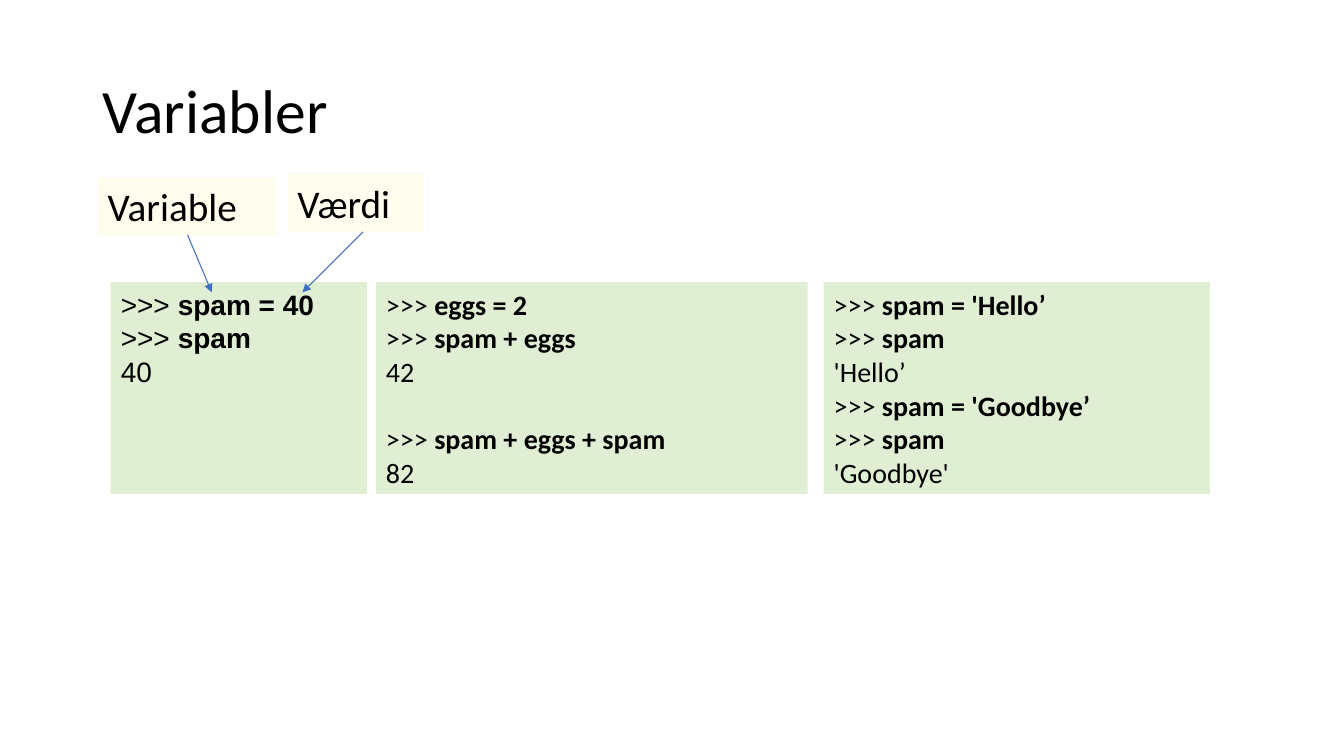
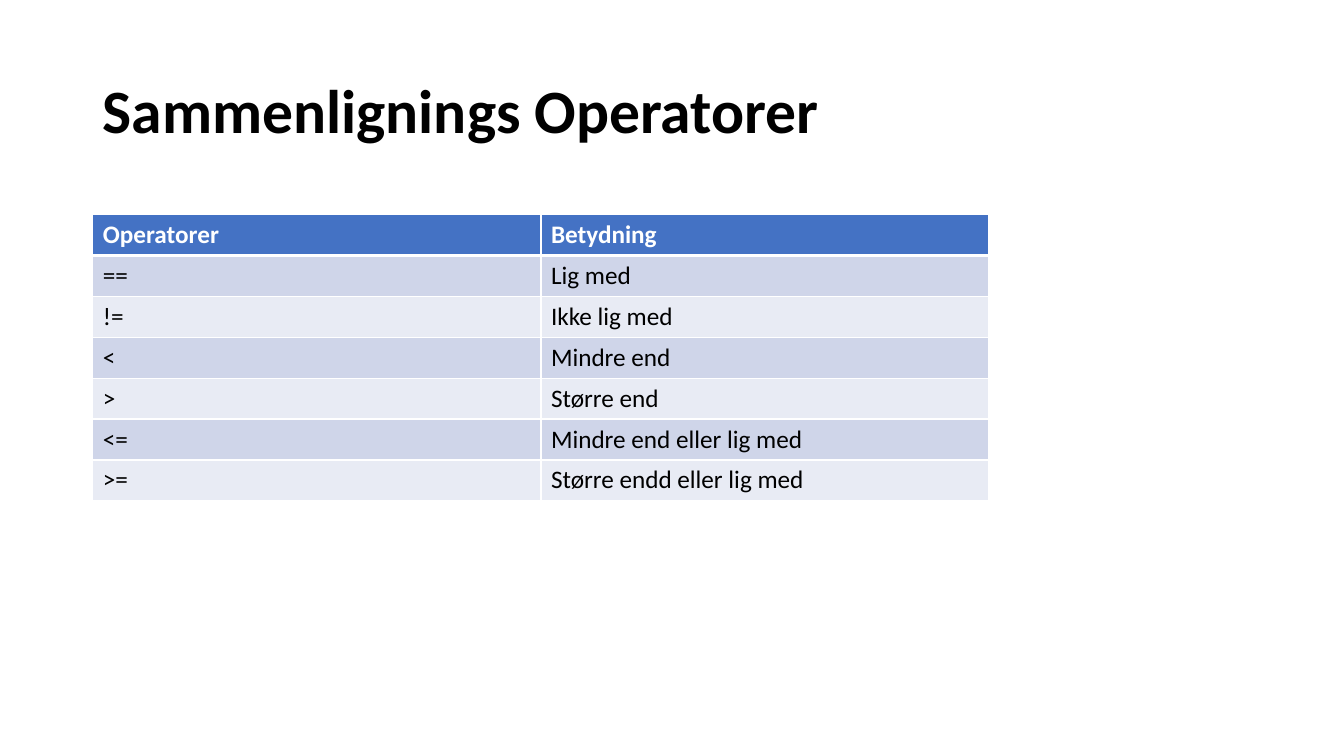
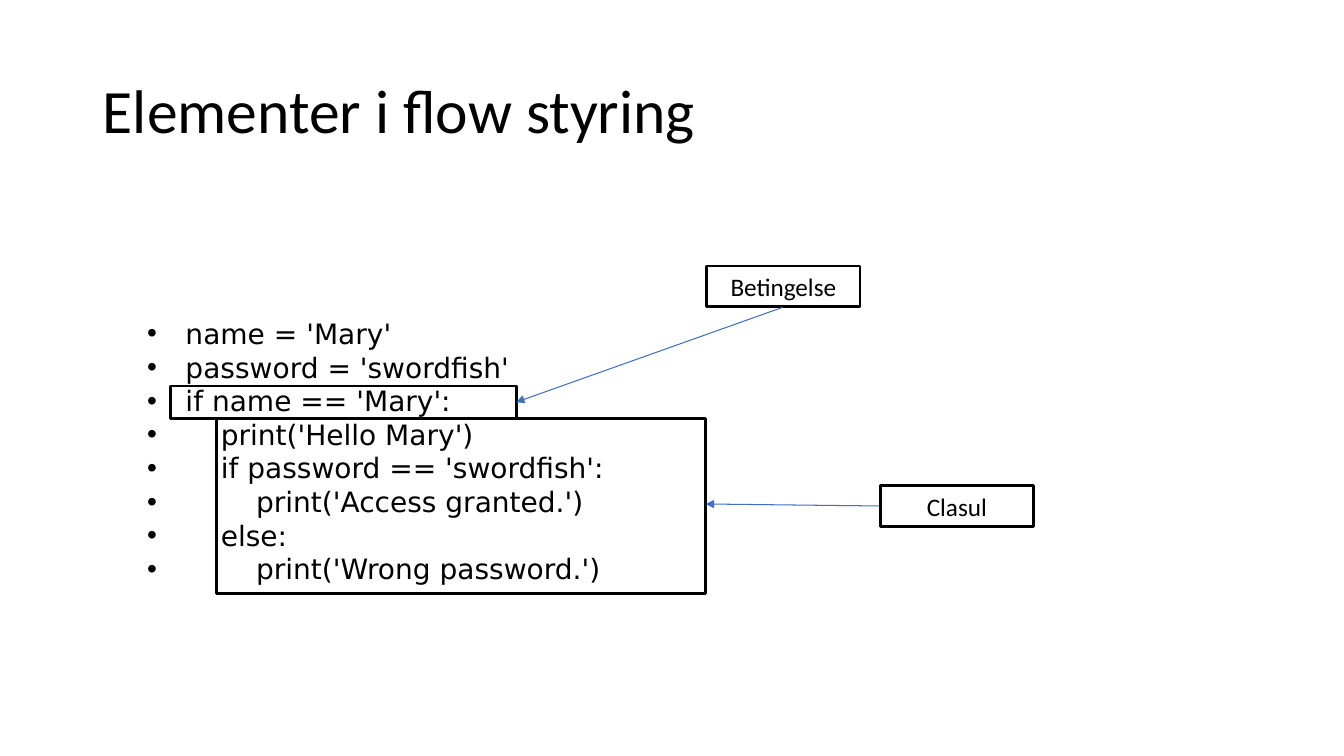
from dataclasses import dataclass

from lxml.etree import SubElement
from pptx import Presentation
from pptx.dml.color import RGBColor
from pptx.enum.shapes import MSO_CONNECTOR as Connector
from pptx.enum.shapes import MSO_SHAPE as Shape
from pptx.enum.text import MSO_ANCHOR as Anchor
from pptx.enum.text import MSO_AUTO_SIZE as AutoSize
from pptx.enum.text import PP_ALIGN as Align
from pptx.oxml import parse_xml
from pptx.oxml.ns import nsdecls, qn
from pptx.util import Emu, Pt

EMU_PER_PX = 9144
PROMPT = ">>> "
TITLE_ONLY, TITLE_AND_BODY = 5, 1


@dataclass(frozen=True)
class Theme:
    """Colours, fonts and type sizes of the deck."""

    ink: str = "000000"
    paper: str = "FFFFFF"
    arrow: str = "3F6FC3"
    code: str = "E0EFD4"
    label: str = "FFFEEE"
    header: str = "4472C4"
    bands: tuple = ("CFD5E9", "E8EBF4")
    font: str = "Calibri"
    sans: str = "Arial"
    script: str = "DejaVu Sans"
    title_size: int = 44
    label_size: int = 28
    code_size: int = 20
    small_size: int = 18
    arrow_width: float = 0.75
    frame_width: float = 2
    grid_width: float = 0.96
    header_rule: float = 3


def px(length):
    """Turn px into EMU."""
    return Emu(length * EMU_PER_PX)


def place(shape, area):
    """Move a shape to left, top, width, height in px."""
    shape.left, shape.top, shape.width, shape.height = map(px, area)


class Painter:
    """Draws elements on the current slide in one style."""

    def __init__(self, deck, theme):
        """Keep the deck and its theme."""
        self.deck, self.theme, self.slide = deck, theme, None

    def style(self, paragraph, size, font=None, color=None, bold=False):
        """Format every run of a paragraph."""
        for span in paragraph.runs:
            span.font.name = font or self.theme.font
            span.font.size = Pt(size)
            span.font.bold = bold
            span.font.color.rgb = RGBColor.from_string(color or self.theme.ink)

    def page(self, title, layout=TITLE_ONLY, bold=False):
        """Start a slide with a title."""
        self.slide = self.deck.slides.add_slide(self.deck.slide_layouts[layout])
        box = self.slide.shapes.title
        place(box, (92, 40, 1150, 145))
        frame = box.text_frame
        frame.text = title
        frame.auto_size = AutoSize.NONE
        frame.vertical_anchor = Anchor.MIDDLE
        para = frame.paragraphs[0]
        para.alignment, para.line_spacing = Align.LEFT, 0.9
        self.style(para, self.theme.title_size, bold=bold)

    def box(self, area, fill=None, framed=False):
        """Add a rectangle and return its text frame."""
        shape = self.slide.shapes.add_shape(Shape.RECTANGLE, *map(px, area))
        shape.shadow.inherit = False
        if fill:
            shape.fill.solid()
            shape.fill.fore_color.rgb = RGBColor.from_string(fill)
        else:
            shape.fill.background()
        if framed:
            shape.line.color.rgb = RGBColor.from_string(self.theme.ink)
            shape.line.width = Pt(self.theme.frame_width)
        else:
            shape.line.fill.background()
        shape.text_frame.word_wrap = True
        return shape.text_frame

    def label(self, area, text, size, align=Align.LEFT, **look):
        """Add a box with one line of text."""
        frame = self.box(area, **look)
        frame.text = text
        frame.vertical_anchor = Anchor.MIDDLE
        para = frame.paragraphs[0]
        para.alignment = align
        self.style(para, size)

    def console(self, left, width, blocks, font=None, anchor=Anchor.MIDDLE):
        """Add a code panel whose blocks are set apart by a line."""
        size = self.theme.code_size
        frame = self.box((left, 280, width, 210), fill=self.theme.code)
        frame.vertical_anchor = anchor
        lines = [(line, block and not row) for block, rows in enumerate(blocks)
                 for row, line in enumerate(rows)]
        for index, (line, gap) in enumerate(lines):
            para = frame.add_paragraph() if index else frame.paragraphs[0]
            typed = line.startswith(PROMPT)
            para.text = PROMPT if typed else line
            if typed:
                para.add_run().text = line.removeprefix(PROMPT)
            para.alignment = Align.LEFT
            para.space_before = Pt(size * 1.2 if gap else 0)
            self.style(para, size, font)
            if typed:
                para.runs[1].font.bold = True

    def arrow(self, start, end):
        """Add a thin arrow from start to end."""
        line = self.slide.shapes.add_connector(
            Connector.STRAIGHT, *map(px, start + end))
        line.line.color.rgb = RGBColor.from_string(self.theme.arrow)
        line.line.width = Pt(self.theme.arrow_width)
        SubElement(line.line._get_or_add_ln(), qn("a:tailEnd"), type="triangle")
        SubElement(line._element.spPr, qn("a:effectLst"))

    def script(self, area, lines):
        """Fill the body with bulleted code, indented by level."""
        body = self.slide.placeholders[1]
        place(body, area)
        frame = body.text_frame
        frame.text = "\n".join(text for level, text in lines)
        frame.auto_size = AutoSize.NONE
        frame.vertical_anchor = Anchor.TOP
        for para, (level, text) in zip(frame.paragraphs, lines):
            para.space_before, para.line_spacing = Pt(0), 1.0
            indent = px(38 + 35 * level)
            props = para._p.get_or_add_pPr()
            props.set("marL", str(indent))
            props.set("indent", str(-indent))
            self.style(para, self.theme.code_size, self.theme.script)

    def borders(self, cell, top, bottom):
        """Draw the four borders of a cell."""
        widths = {"L": self.theme.grid_width, "R": self.theme.grid_width,
                  "T": top, "B": bottom}
        props = cell._tc.get_or_add_tcPr()
        for index, (side, width) in enumerate(widths.items()):
            props.insert(index, parse_xml(
                f'<a:ln{side} {nsdecls("a")} w="{Pt(width)}"><a:solidFill>'
                f'<a:srgbClr val="{self.theme.paper}"/></a:solidFill></a:ln{side}>'))

    def table(self, area, rows):
        """Add a banded table with a header row."""
        theme = self.theme
        table = self.slide.shapes.add_table(
            len(rows), len(rows[0]), *map(px, area)).table
        for number, row in enumerate(rows):
            head = number == 0
            fill = theme.header if head else theme.bands[(number - 1) % 2]
            top = theme.header_rule if number == 1 else theme.grid_width
            bottom = theme.header_rule if head else theme.grid_width
            for column, text in enumerate(row):
                cell = table.cell(number, column)
                cell.text = text
                cell.fill.solid()
                cell.fill.fore_color.rgb = RGBColor.from_string(fill)
                self.borders(cell, top, bottom)
                self.style(cell.text_frame.paragraphs[0], theme.small_size,
                           color=theme.paper if head else theme.ink, bold=head)


def variables(painter):
    """Build the slide on variables."""
    theme = painter.theme
    painter.page("Variabler")
    painter.console(110, 254, [[">>> spam = 40", ">>> spam", "40"]],
                    theme.sans, Anchor.TOP)
    painter.label((97, 176, 177, 57), "Variable", theme.label_size, fill=theme.label)
    painter.arrow((186, 233), (210, 290))
    painter.label((285, 173, 135, 57), "Værdi", theme.label_size, fill=theme.label)
    painter.arrow((360, 230), (300, 290))
    painter.console(373, 428, [[">>> eggs = 2", ">>> spam + eggs", "42"],
                               [">>> spam + eggs + spam", "82"]])
    painter.console(817, 383, [[">>> spam = 'Hello’", ">>> spam", "'Hello’",
                                ">>> spam = 'Goodbye’", ">>> spam", "'Goodbye'"]])


def operators(painter):
    """Build the slide on comparison operators."""
    painter.page("Sammenlignings Operatorer", bold=True)
    painter.table((92, 213, 889, 284), [
        ("Operatorer", "Betydning"),
        ("==", "Lig med"),
        ("!=", "Ikke lig med"),
        ("<", "Mindre end"),
        (">", "Større end"),
        ("<=", "Mindre end eller lig med"),
        (">=", "Større endd eller lig med"),
    ])


def flow_control(painter):
    """Build the slide on the parts of flow control."""
    size = painter.theme.small_size
    painter.page("Elementer i flow styring", TITLE_AND_BODY)
    painter.script((136, 309, 667, 277), [
        (0, "name = 'Mary'"),
        (0, "password = 'swordfish'"),
        (0, "if name == 'Mary':"),
        (1, "print('Hello Mary')"),
        (1, "if password == 'swordfish':"),
        (2, "print('Access granted.')"),
        (1, "else:"),
        (2, "print('Wrong password.')"),
    ])
    painter.box((169, 383, 343, 32), framed=True)
    painter.label((701, 264, 152, 40), "Betingelse", size, Align.CENTER, framed=True)
    painter.arrow((776, 305), (512, 399))
    painter.box((215, 415, 485, 174), framed=True)
    painter.arrow((873, 502), (700, 500))
    painter.label((873, 482, 152, 40), "Clasul", size, Align.CENTER, framed=True)


def main():
    """Build and save the deck."""
    deck = Presentation()
    deck.slide_width, deck.slide_height = px(1333), px(750)
    painter = Painter(deck, Theme())
    for build in (variables, operators, flow_control):
        build(painter)
    deck.save("out.pptx")


if __name__ == "__main__":
    main()
